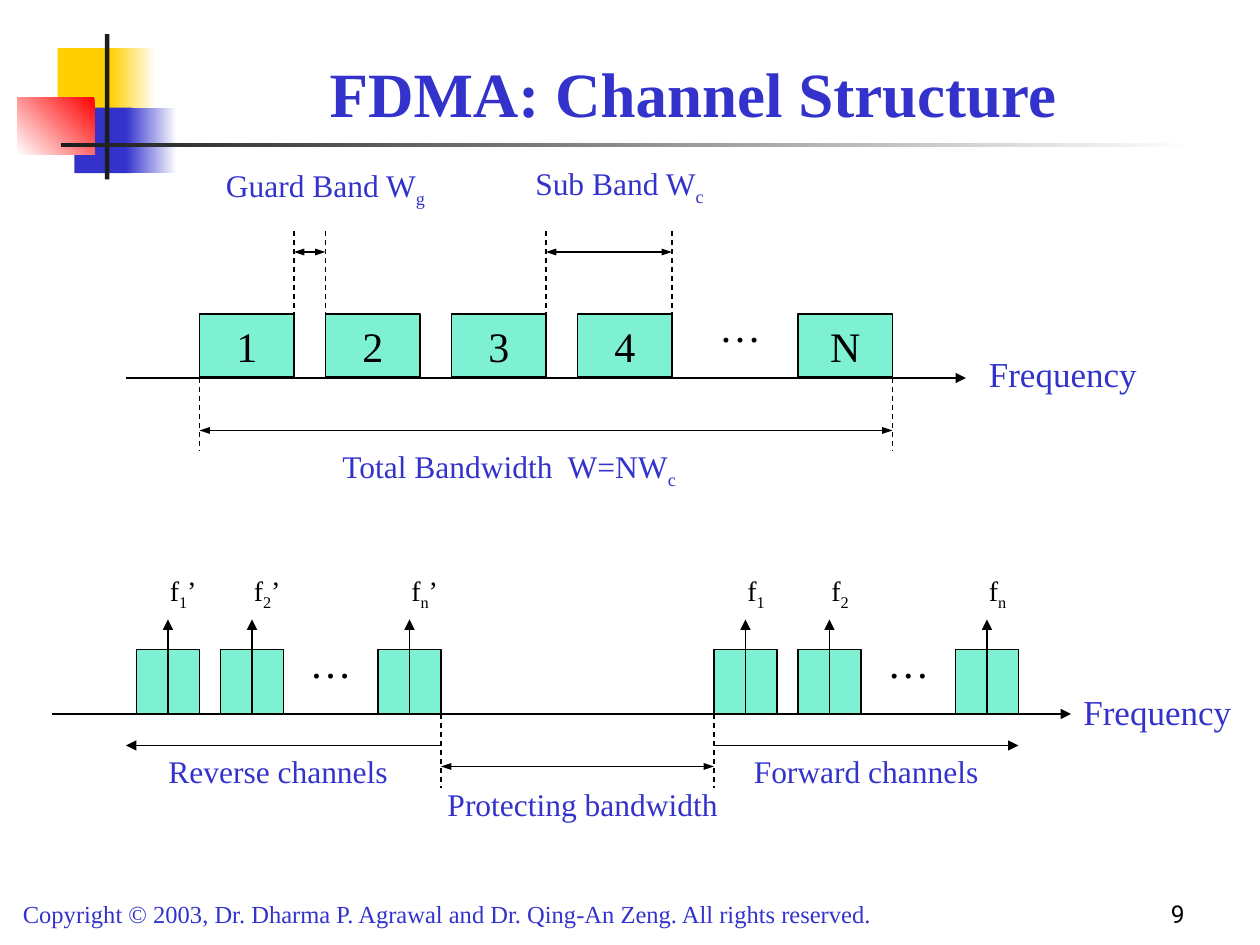
from pptx import Presentation
from pptx.dml.color import RGBColor
from pptx.enum.dml import MSO_LINE
from pptx.enum.shapes import MSO_CONNECTOR, MSO_SHAPE
from pptx.enum.text import MSO_ANCHOR, PP_ALIGN
from pptx.oxml.ns import qn
from pptx.oxml.xmlchemy import OxmlElement
from pptx.util import Pt

BLUE = RGBColor(0x33, 0x33, 0xCC)
YELLOW = RGBColor(0xFF, 0xCF, 0x01)
RED = RGBColor(0xFF, 0x00, 0x00)
CHARCOAL = RGBColor(0x1C, 0x1C, 0x1C)
MINT = RGBColor(0x00, 0xE4, 0xA8)
BLACK = RGBColor(0x00, 0x00, 0x00)
WHITE = RGBColor(0xFF, 0xFF, 0xFF)

LEFT, CENTER, RIGHT = PP_ALIGN.LEFT, PP_ALIGN.CENTER, PP_ALIGN.RIGHT
TOP, MIDDLE, BOTTOM = MSO_ANCHOR.TOP, MSO_ANCHOR.MIDDLE, MSO_ANCHOR.BOTTOM
RECTANGLE = MSO_SHAPE.RECTANGLE
STRAIGHT = MSO_CONNECTOR.STRAIGHT
DASH = MSO_LINE.DASH
BOTTOM_SITE = 2


def write(shape, text, size=18, color=BLUE, font="Times New Roman", bold=False,
          align=CENTER, anchor=TOP):
    """Fill a shape with text in which _x_ marks a subscript."""
    frame = shape.text_frame
    frame.word_wrap = True
    frame.vertical_anchor = anchor
    para = frame.paragraphs[0]
    para.alignment = align
    for index, part in enumerate(text.split("_")):
        if not part:
            continue
        span = para.add_run()
        span.text = part
        span.font.size = Pt(size)
        span.font.name = font
        span.font.bold = bold
        span.font.color.rgb = color
        if index % 2:
            span.font._element.set("baseline", "-25000")


def add_label(page, text, left, top, width, height, **style):
    """Add a text box."""
    box = page.shapes.add_textbox(Pt(left), Pt(top), Pt(width), Pt(height))
    write(box, text, **style)


def add_block(page, left, top, width, height, color, fade_angle=None):
    """Add a borderless rectangle, plain or fading to white."""
    block = page.shapes.add_shape(RECTANGLE, Pt(left), Pt(top), Pt(width), Pt(height))
    block.shadow.inherit = False
    block.line.fill.background()
    if fade_angle is None:
        block.fill.solid()
        block.fill.fore_color.rgb = color
    else:
        block.fill.gradient()
        block.fill.gradient_angle = fade_angle
        for stop, shade in zip(block.fill.gradient_stops, (color, WHITE)):
            stop.color.rgb = shade
    return block


def add_channel(page, left, top, width, height):
    """Add a half-transparent channel rectangle with a thin border."""
    channel = add_block(page, left, top, width, height, MINT)
    alpha = OxmlElement("a:alpha")
    alpha.set("val", "50000")
    channel.element.spPr.find(qn("a:solidFill"))[0].append(alpha)
    channel.line.color.rgb = BLACK
    channel.line.width = Pt(0.75)
    return channel


def add_line(page, x1, y1, x2, y2, ends=(), dashed=False):
    """Add a thin line with arrowheads at the named ends."""
    line = page.shapes.add_connector(STRAIGHT, Pt(x1), Pt(y1), Pt(x2), Pt(y2))
    line.line.color.rgb = BLACK
    line.line.width = Pt(0.75)
    if dashed:
        line.line.dash_style = DASH
    properties = line.element.spPr
    for end in ends:
        head = OxmlElement(f"a:{end}End")
        head.set("type", "triangle")
        head.set("w", "sm" if len(ends) == 2 else "med")
        properties.find(qn("a:ln")).append(head)
    properties.append(OxmlElement("a:effectLst"))
    return line


def add_span(page, x1, x2, y, guide_top, guide_bottom):
    """Add a two-headed arrow between two dashed guides."""
    for x in (x1, x2):
        add_line(page, x, guide_top, x, guide_bottom, dashed=True)
    add_line(page, x1, y, x2, y, ends=("head", "tail"))


def add_ornament(page, left, top):
    """Add the coloured blocks and crossing bars beside the title."""
    blocks = [
        (23, 8, 34.5, 37.5, YELLOW, None),
        (53, 8, 26, 37.5, YELLOW, 0),
        (32.5, 42, 33, 37.5, BLUE, None),
        (62, 42, 29, 37.5, BLUE, 0),
        (0, 36, 44, 33, RED, 225),
        (50, 0, 2.5, 83, CHARCOAL, None),
        (25, 62, 648, 2.5, CHARCOAL, 0),
    ]
    for x, y, width, height, color, angle in blocks:
        add_block(page, left + x, top + y, width, height, color, angle)


def add_axis(page, left, right, y, label_left, label_top):
    """Add a frequency axis and its name."""
    add_line(page, left, y, right, y, ends=("tail",))
    add_label(page, "Frequency", label_left, label_top, 108, 32, size=20, align=LEFT)


def add_dots(page, left, top):
    """Add an ellipsis that stands for the channels left out."""
    add_label(page, "…", left, top, 54, 36, size=24, color=BLACK)


def add_sub_bands(page, left, axis_y):
    """Add the numbered sub bands with their guard and total widths."""
    width, pitch = 54, 72
    add_axis(page, left - 42, left + 438, axis_y, left + 444, axis_y - 18)
    for name, x in [(str(i + 1), i * pitch) for i in range(4)] + [("N", 342)]:
        channel = add_channel(page, left + x, axis_y - 36.5, width, 36)
        write(channel, name, size=24, color=BLACK, anchor=MIDDLE)
    add_dots(page, left + 282, axis_y - 48)

    end = left + 342 + width
    add_span(page, left, end, axis_y + 30, axis_y, axis_y + 42)
    add_label(page, "Total Bandwidth  W=NW_c_", left + 72, axis_y + 36, 210, 32)

    guides = axis_y - 84, axis_y - 36
    add_span(page, left + width, left + pitch, axis_y - 72, *guides)
    add_label(page, "Guard Band W_g_", left + 6, axis_y - 124.5, 132, 32)
    add_span(page, left + 198, left + 270, axis_y - 72, *guides)
    add_label(page, "Sub Band W_c_", left + 180, axis_y - 126, 120, 32)


def add_carriers(page, left, axis_y, mark):
    """Add one group of channels with their carrier frequencies."""
    for name, x in (("1", 0), ("2", 48), ("n", 138)):
        channel = add_channel(page, left + x, axis_y - 37, 36, 37)
        middle = left + x + 18
        arrow = add_line(page, middle, axis_y, middle, axis_y - 54, ends=("tail",))
        arrow.begin_connect(channel, BOTTOM_SITE)
        add_label(page, f"f_{name}_{mark}", left + x + 12, axis_y - 84, 36, 30,
                  size=16, color=BLACK, align=LEFT)
    add_dots(page, left + 84, axis_y - 48)


def add_duplex(page, left, axis_y):
    """Add the reverse and forward channels and the gap between them."""
    reverse_end, forward = left + 174, left + 330
    add_axis(page, left - 48, left + 534, axis_y, left + 534, axis_y - 17)
    add_carriers(page, left, axis_y, "’")
    add_carriers(page, forward, axis_y, "")
    add_span(page, reverse_end, forward, axis_y + 30, axis_y, axis_y + 42)
    add_label(page, "Protecting bandwidth", left + 150, axis_y + 37, 210, 29)
    for name, start, end, label_left in (
        ("Reverse channels", reverse_end, left - 6, left - 24),
        ("Forward channels", forward, forward + 174, left + 312),
    ):
        add_line(page, start, axis_y + 18, end, axis_y + 18, ends=("tail",))
        add_label(page, name, label_left, axis_y + 18, 210, 29)


def add_footer(page, left, top):
    """Add the copyright line and the page number."""
    add_label(page, "Copyright © 2003, Dr. Dharma P. Agrawal and Dr. Qing-An Zeng. "
              "All rights reserved.", left, top, 546, 24, size=14, align=LEFT)
    add_label(page, "9", left + 528, top - 12, 150, 36, size=14, color=BLACK,
              font="Roboto", align=RIGHT, anchor=BOTTOM)


def main():
    """Build the slide and save it."""
    deck = Presentation()
    deck.slide_width, deck.slide_height = Pt(720), Pt(540)
    page = deck.slides.add_slide(deck.slide_layouts[6])
    add_ornament(page, 10, 19.5)
    add_label(page, "FDMA: Channel Structure", 90, 18, 612, 60, size=36, bold=True,
              anchor=BOTTOM)
    add_sub_bands(page, 114, 216)
    add_duplex(page, 78, 408)
    add_footer(page, 6, 510)
    deck.save("out.pptx")


if __name__ == "__main__":
    main()
